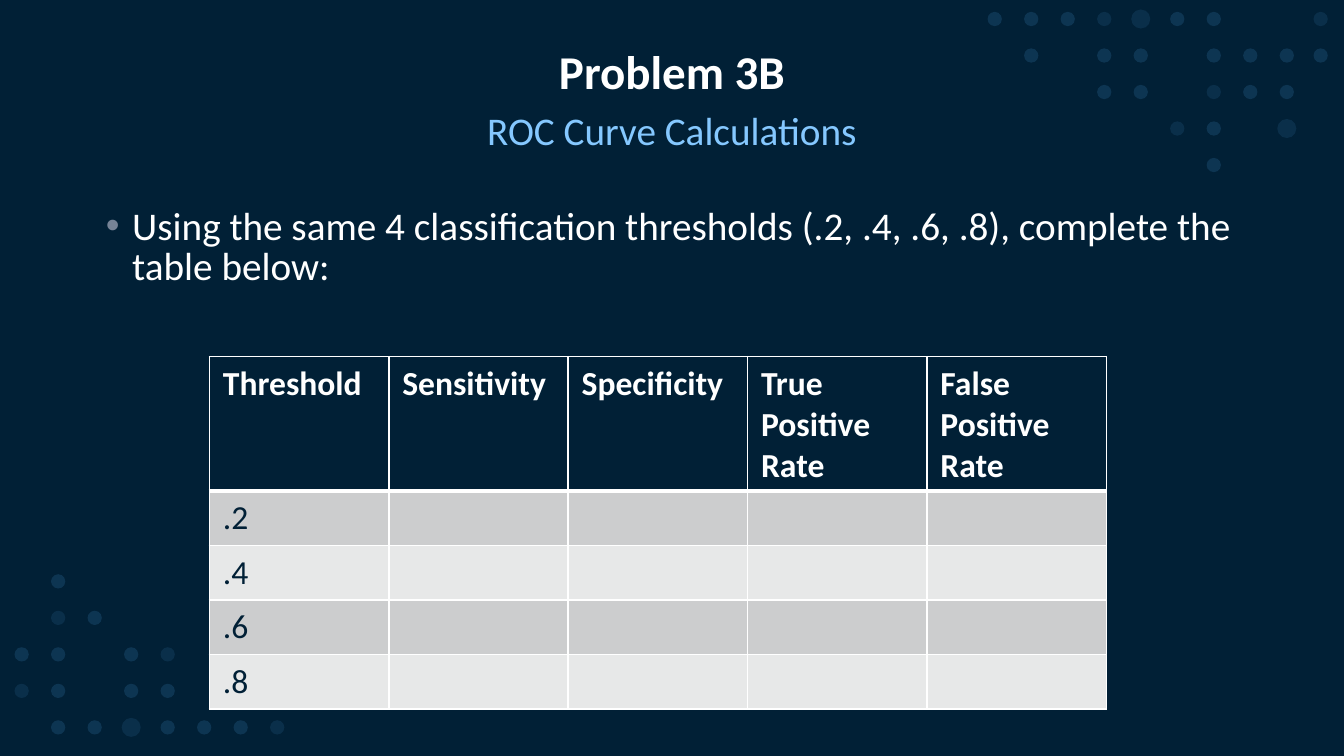
"""Build the Problem 3B slide: a title, a task and an empty table on a dotted ground."""
from dataclasses import dataclass

from lxml import etree
from pptx import Presentation
from pptx import util as u
from pptx.dml.color import RGBColor
from pptx.enum import shapes, text
from pptx.oxml.ns import qn

HUES = {"navy": "012036", "dot": "5CB5FF", "white": "FFFFFF", "sky": "85C8FF",
        "bullet": "768396", "dark": "CCCDCE", "light": "E7E8E8"}
FONT = "Calibri"
STEP = 0.69
DOTS = {"o": (0.27, 14), ".": (0.27, 10), "@": (0.36, 10)}
HEADS = ["Threshold", "Sensitivity", "Specificity",
         "True Positive Rate", "False Positive Rate"]
LEVELS = [".2", ".4", ".6", ".8"]


@dataclass
class Field:
    """A dot grid: centre of the first dot, rightmost centre, and a map of marks."""
    left: float
    top: float
    right: float
    rows: list[str]


@dataclass
class Style:
    """Look of a line of text."""
    size: float
    hue: str
    bold: bool = False


FIELDS = [
    Field(18.8, 0.36, 24.96, ["ooo.@oo  .", " o oo oooo", "   oo .oo", "     .o @", "      o"]),
    Field(0.41, 10.99, 5.24, [" o", " .o", "oo o.", ".o oo", " oo@ooo."]),
]


def color(name: str) -> RGBColor:
    """Give the named colour."""
    return RGBColor.from_string(HUES[name])


def paint(part, name: str) -> None:
    """Fill a part with a solid colour."""
    part.fill.solid()
    part.fill.fore_color.rgb = color(name)


def write(frame, words: str, style: Style):
    """Set the text of a frame, format it and return its paragraph."""
    frame.text = words
    para = frame.paragraphs[0]
    for run in para.runs:
        run.font.name = FONT
        run.font.size = u.Pt(style.size)
        run.font.bold = style.bold
        run.font.color.rgb = color(style.hue)
    return para


def scatter(slide, field: Field) -> None:
    """Draw the dots of a field."""
    for row, marks in enumerate(field.rows):
        for col, mark in enumerate(marks):
            if mark == " ":
                continue
            size, alpha = DOTS[mark]
            left = min(field.left + col * STEP, field.right) - size / 2
            top = field.top + row * STEP - size / 2
            dot = slide.shapes.add_shape(shapes.MSO_SHAPE.OVAL, u.Cm(left), u.Cm(top),
                                         u.Cm(size), u.Cm(size))
            dot.shadow.inherit = False
            dot.line.fill.background()
            paint(dot, "dot")
            tint = dot.fill._xPr.find(qn("a:solidFill"))[0]
            etree.SubElement(tint, qn("a:alpha"), val=str(alpha * 1000))


def label(slide, top: float, height: float, words: str, style: Style):
    """Add a text box as wide as the title and return its paragraph."""
    box = slide.shapes.add_textbox(u.Cm(1.75), u.Cm(top), u.Cm(21.9), u.Cm(height))
    box.text_frame.word_wrap = True
    para = write(box.text_frame, words, style)
    para.line_spacing = 0.85
    para.space_before = u.Pt(8)
    return para


def bullet(para) -> None:
    """Give a paragraph a hanging bullet."""
    props = para._p.get_or_add_pPr()
    props.set("marL", str(u.Cm(0.5)))
    props.set("indent", str(-u.Cm(0.5)))
    tint = etree.SubElement(props, qn("a:buClr"))
    etree.SubElement(tint, qn("a:srgbClr"), val=HUES["bullet"])
    etree.SubElement(props, qn("a:buFont"), typeface="Arial")
    etree.SubElement(props, qn("a:buChar"), char="•")


def border(cell, widths: dict[str, float]) -> None:
    """Draw white lines on the sides of a cell."""
    props = cell._tc.get_or_add_tcPr()
    for spot, (side, width) in enumerate(widths.items()):
        line = etree.Element(qn(f"a:ln{side}"), w=str(u.Pt(width)))
        fill = etree.SubElement(line, qn("a:solidFill"))
        etree.SubElement(fill, qn("a:srgbClr"), val=HUES["white"])
        props.insert(spot, line)


def grid(slide) -> None:
    """Add the table of thresholds."""
    rows = [HEADS] + [[level] + [""] * (len(HEADS) - 1) for level in LEVELS]
    table = slide.shapes.add_table(len(rows), len(HEADS), u.Cm(3.96), u.Cm(6.74),
                                   u.Cm(16.95), u.Cm(5.15)).table
    for col in table.columns:
        col.width = u.Cm(3.39)
    for row, items in enumerate(rows):
        table.rows[row].height = u.Cm(1.03)
        head = row == 0
        style = Style(18, "white" if head else "navy", head)
        ground = "navy" if head else ("light", "dark")[row % 2]
        widths = {"L": 1, "R": 1, "T": 3 if row == 1 else 1, "B": 3 if head else 1}
        for col, words in enumerate(items):
            cell = table.cell(row, col)
            para = write(cell.text_frame, words, style)
            para.font.size = u.Pt(style.size)
            paint(cell, ground)
            border(cell, widths)


def main() -> None:
    """Build and save the slide."""
    deck = Presentation()
    deck.slide_width, deck.slide_height = u.Cm(25.4), u.Cm(14.29)
    slide = deck.slides.add_slide(deck.slide_layouts[5])
    paint(slide.background, "navy")
    for field in FIELDS:
        scatter(slide, field)

    title = slide.shapes.title
    title.left, title.top, title.width, title.height = map(u.Cm, (1.75, 0.76, 21.9, 1.27))
    title.text_frame.vertical_anchor = text.MSO_ANCHOR.MIDDLE
    para = write(title.text_frame, "Problem 3B", Style(25.2, "white", True))
    para.alignment = text.PP_ALIGN.CENTER
    para.line_spacing = 0.9

    task = ("Using the same 4 classification thresholds (.2, .4, .6, .8), "
            "complete the table below:")
    bullet(label(slide, 3.81, 1.9, task, Style(21, "white")))
    para = label(slide, 2.03, 1.27, "ROC Curve Calculations", Style(21, "sky"))
    para.alignment = text.PP_ALIGN.CENTER
    grid(slide)
    deck.save("out.pptx")


if __name__ == "__main__":
    main()
